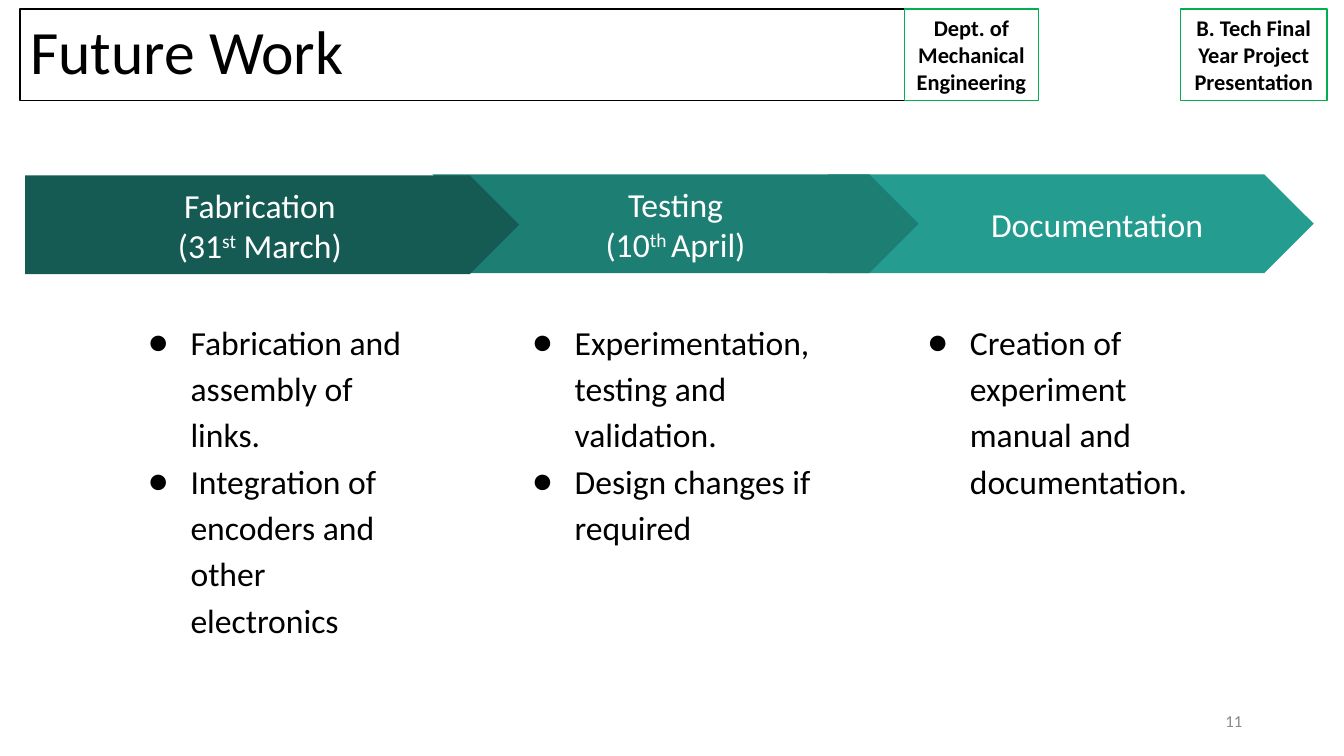
from dataclasses import dataclass

from lxml.etree import SubElement
from pptx import Presentation
from pptx.dml.color import RGBColor
from pptx.enum.shapes import MSO_SHAPE as Shape
from pptx.enum.text import MSO_ANCHOR as Anchor, MSO_AUTO_SIZE as AutoSize, PP_ALIGN as Align
from pptx.oxml.ns import qn
from pptx.util import Emu, Pt

PX = 9144
FONT = "Calibri"
COLORS = {
    "black": "000000", "white": "FFFFFF", "gray": "888888", "green": "00B050",
    "dark_teal": "155B54", "teal": "1D7E74", "light_teal": "249C90",
}
Box = tuple[int, int, int, int]


@dataclass(frozen=True)
class Badge:
    text: str
    left: int
    width: int


@dataclass(frozen=True)
class Stage:
    heading: list[str]
    tasks: list[str]
    outline: Shape
    color: str
    arrow: Box
    tasks_box: Box
    task_margin: int = 50
    heading_margin: int = 0
    heading_align: Align = Align.CENTER


BADGES = [
    Badge("Dept. of Mechanical Engineering", 897, 133),
    Badge("B. Tech Final Year Project Presentation", 1171, 145),
]
STAGES = [
    Stage(["Documentation"], ["Creation of experiment manual and documentation."],
          Shape.CHEVRON, "light_teal", (821, 173, 482, 98), (899, 300, 326, 381),
          heading_margin=50, heading_align=Align.LEFT),
    Stage(["Testing", "(10^th ^April)"],
          ["Experimentation, testing and validation.", "Design changes if required"],
          Shape.CHEVRON, "teal", (429, 173, 482, 98), (507, 300, 326, 381)),
    Stage(["Fabrication", "(31^st^ March)"],
          ["Fabrication and assembly of links.",
           "Integration of encoders and other electronics"],
          Shape.PENTAGON, "dark_teal", (25, 174, 490, 98), (76, 300, 349, 381),
          task_margin=100),
]


def px(length: int) -> Emu:
    return Emu(length * PX)


def rgb(name: str) -> RGBColor:
    return RGBColor.from_string(COLORS[name])


def write(frame, lines: list[str], *, size: int, color: str = "black", bold: bool = False,
          align: Align = Align.LEFT, anchor: Anchor = Anchor.TOP, inset: int = 10,
          inset_y: int = 5, margin: int = 0, indent: int = 0, spacing: float = 1.0,
          bullet: str = "") -> None:
    """Fill a text frame; a part between carets is raised."""
    frame.word_wrap = True
    frame.auto_size = AutoSize.NONE
    frame.vertical_anchor = anchor
    frame.margin_left = frame.margin_right = px(inset)
    frame.margin_top = frame.margin_bottom = px(inset_y)
    for number, line in enumerate(lines):
        paragraph = frame.add_paragraph() if number else frame.paragraphs[0]
        properties = paragraph._p.get_or_add_pPr()
        properties.set("marL", str(px(margin)))
        properties.set("indent", str(px(indent)))
        if bullet:
            SubElement(properties, qn("a:buFont"), typeface=FONT)
            SubElement(properties, qn("a:buChar"), char=bullet)
        paragraph.alignment = align
        paragraph.line_spacing = spacing
        for part, words in enumerate(line.split("^")):
            run = paragraph.add_run()
            run.text = words
            run.font.name = FONT
            run.font.size = Pt(size)
            run.font.bold = bold
            run.font.color.rgb = rgb(color)
            if part % 2:
                run._r.get_or_add_rPr().set("baseline", "30000")


def add_shape(slide, outline: Shape, box: Box, *, fill: str = "", line: str = ""):
    shape = slide.shapes.add_shape(outline, *map(px, box))
    shape.shadow.inherit = False
    if fill:
        shape.fill.solid()
        shape.fill.fore_color.rgb = rgb(fill)
    else:
        shape.fill.background()
    if line:
        shape.line.color.rgb = rgb(line)
        shape.line.width = Pt(1)
    else:
        shape.line.fill.background()
    return shape


def add_title(slide, text: str) -> None:
    title = slide.shapes.title
    title.left, title.top, title.width, title.height = map(px, (20, 9, 877, 91))
    title.line.color.rgb = rgb("black")
    title.line.width = Pt(1)
    write(title.text_frame, [text], size=44, anchor=Anchor.MIDDLE, spacing=0.9)


def add_badge(slide, badge: Badge) -> None:
    frame = add_shape(slide, Shape.RECTANGLE, (badge.left, 9, badge.width, 91),
                      line="green").text_frame
    write(frame, [badge.text], size=16, bold=True, align=Align.CENTER)


def add_stage(slide, stage: Stage) -> None:
    arrow = add_shape(slide, stage.outline, stage.arrow, fill=stage.color)
    write(arrow.text_frame, stage.heading, size=24, color="white",
          align=stage.heading_align, anchor=Anchor.MIDDLE, inset=13, inset_y=13,
          margin=stage.heading_margin, indent=stage.heading_margin)
    tasks = slide.shapes.add_textbox(*map(px, stage.tasks_box))
    write(tasks.text_frame, stage.tasks, size=24, inset=13, inset_y=13,
          margin=stage.task_margin, indent=-42, spacing=1.15, bullet="●")


def main() -> None:
    deck = Presentation()
    deck.slide_width, deck.slide_height = px(1333), px(750)
    slide = deck.slides.add_slide(deck.slide_layouts[5])
    add_title(slide, "Future Work")
    page_number = slide.shapes.add_textbox(*map(px, (942, 695, 300, 40)))
    write(page_number.text_frame, ["11"], size=12, color="gray",
          align=Align.RIGHT, anchor=Anchor.MIDDLE)
    for badge in BADGES:
        add_badge(slide, badge)
    for stage in STAGES:
        add_stage(slide, stage)
    deck.save("out.pptx")


if __name__ == "__main__":
    main()
